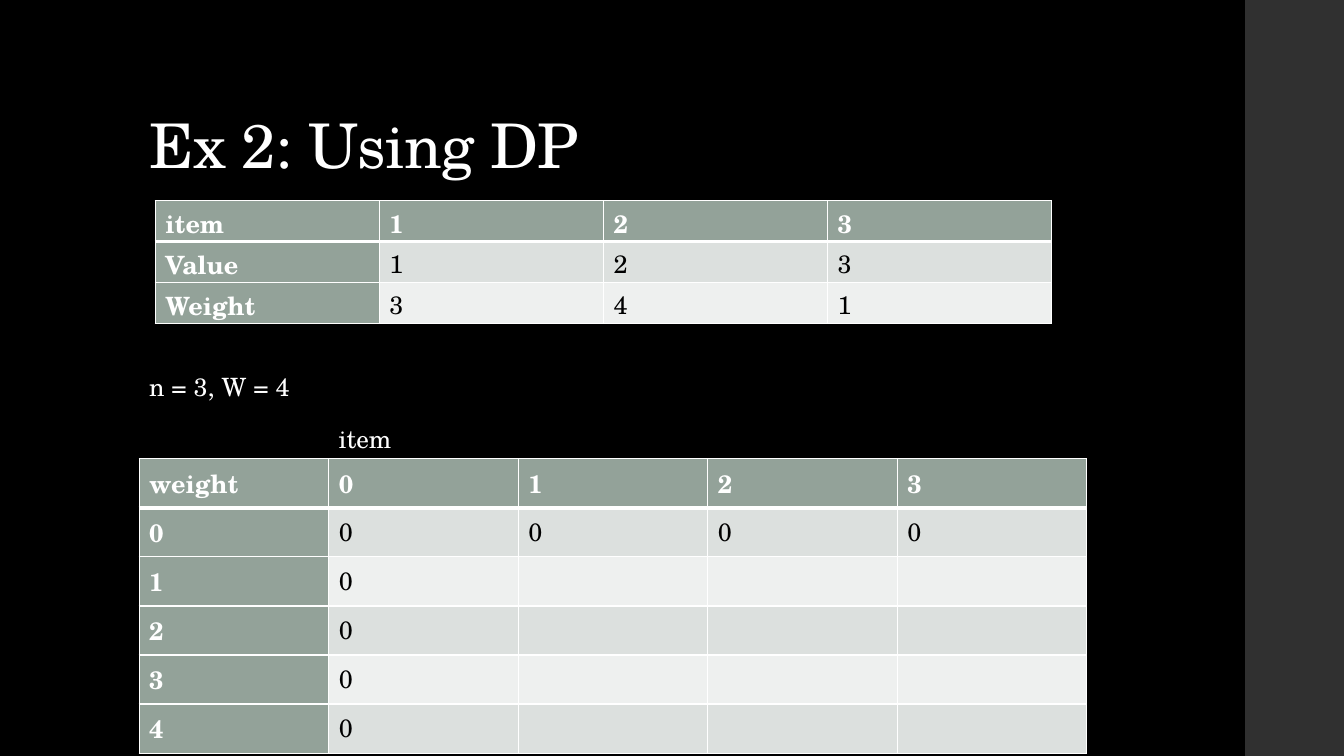
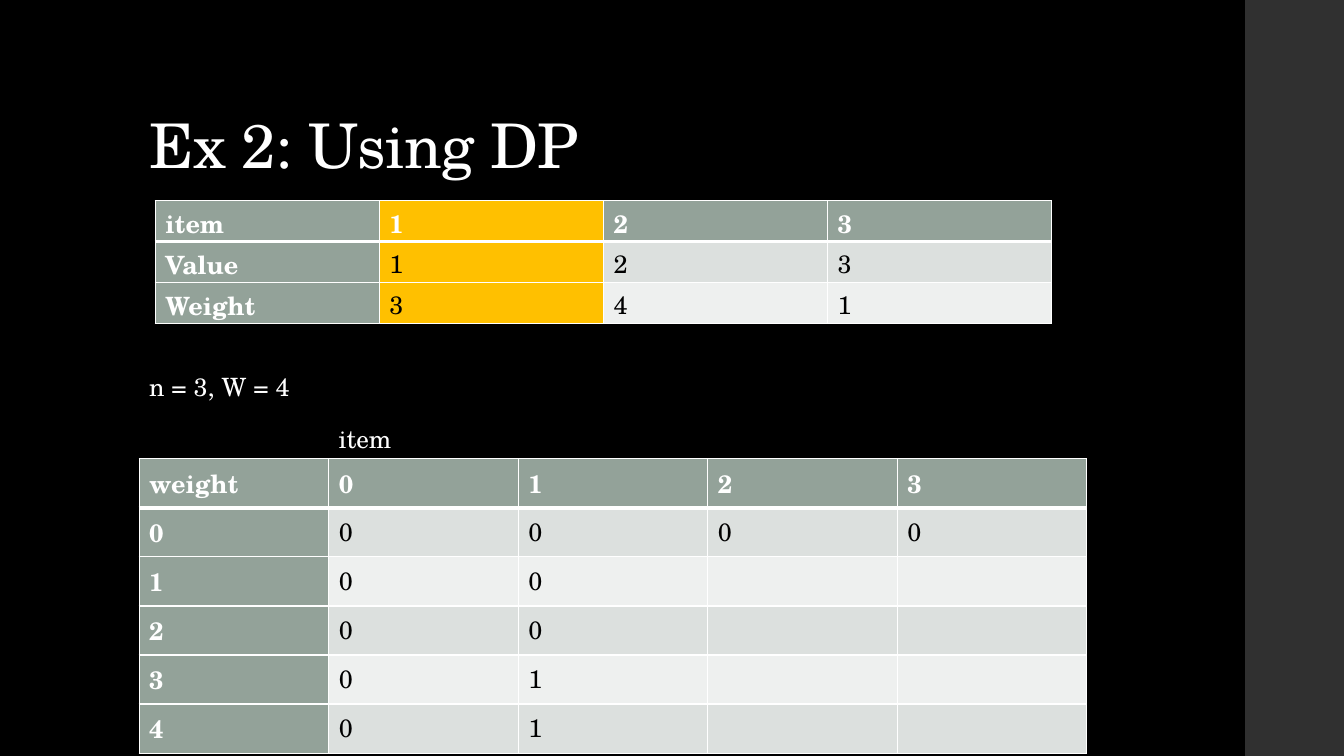
from lxml import etree
from pptx import Presentation
from pptx.dml.color import RGBColor
from pptx.enum.shapes import MSO_SHAPE
from pptx.enum.text import MSO_ANCHOR, MSO_AUTO_SIZE, PP_ALIGN
from pptx.oxml.ns import qn
from pptx.util import Inches, Pt

RECT = MSO_SHAPE.RECTANGLE
BOTTOM = MSO_ANCHOR.BOTTOM
LEFT = PP_ALIGN.LEFT
NO_FIT, GROW = MSO_AUTO_SIZE.NONE, MSO_AUTO_SIZE.SHAPE_TO_FIT_TEXT

BLACK = RGBColor(0x00, 0x00, 0x00)
WHITE = RGBColor(0xFF, 0xFF, 0xFF)
STRIP = RGBColor(0x30, 0x30, 0x30)
SAGE = RGBColor(0x93, 0xA2, 0x99)
BANDS = (RGBColor(0xDC, 0xE0, 0xDE), RGBColor(0xEE, 0xF0, 0xEF))
AMBER = RGBColor(0xFF, 0xC0, 0x00)
FONT = "TeX Gyre Schola"

TITLE = "Ex 2: Using DP"
LIMITS = "n = 3, W = 4"
ITEMS = [
    ["item", "1", "2", "3"],
    ["Value", "1", "2", "3"],
    ["Weight", "3", "4", "1"],
]
DP_HEADER = ["weight", "0", "1", "2", "3"]
SLIDES = [
    {
        "current_item": None,
        "dp": [["0", "0", "0", "0"]] + [["0", "", "", ""]] * 4,
    },
    {
        "current_item": 1,
        "dp": [["0", "0", "0", "0"]]
        + [["0", best, "", ""] for best in ("0", "0", "1", "1")],
    },
]


def write(tf, text, size=18, color=WHITE, bold=False, spacing=None, line=None):
    p = tf.paragraphs[0]
    p.alignment = LEFT
    if line:
        p.line_spacing = line
    if not text:
        return
    r = p.add_run()
    r.text = text
    r.font.name = FONT
    r.font.size = Pt(size)
    r.font.bold = bold
    r.font.color.rgb = color
    if spacing is not None:
        r.font.language_id = None
        r._r.get_or_add_rPr().set("spc", str(int(spacing * 100)))


def add_label(s, text, left, top, width, wrap=True):
    box = s.shapes.add_textbox(Inches(left), Inches(top), Inches(width), Inches(0.4))
    tf = box.text_frame
    tf.word_wrap = wrap
    tf.auto_size = GROW
    write(tf, text)


def set_borders(cell, bottom):
    tcPr = cell._tc.get_or_add_tcPr()
    widths = {"a:lnL": 1, "a:lnR": 1, "a:lnT": 1, "a:lnB": bottom}
    for i, (tag, width) in enumerate(widths.items()):
        ln = etree.Element(qn(tag), w=str(Pt(width)))
        fill = etree.SubElement(ln, qn("a:solidFill"))
        etree.SubElement(fill, qn("a:srgbClr"), val=str(WHITE))
        tcPr.insert(i, ln)


def add_grid(s, rows, left, top, width, height, margins=(0.05, 0.05), highlight=None):
    n_rows, n_cols = len(rows), len(rows[0])
    frame = s.shapes.add_table(
        n_rows, n_cols, Inches(left), Inches(top), Inches(width), Inches(height)
    )
    table = frame.table
    for i, row in enumerate(rows):
        for j, text in enumerate(row):
            cell = table.cell(i, j)
            cell.margin_top, cell.margin_bottom = map(Inches, margins)
            heading = i == 0 or j == 0
            if j == highlight:
                color = AMBER
            else:
                color = SAGE if heading else BANDS[(i - 1) % 2]
            cell.fill.solid()
            cell.fill.fore_color.rgb = color
            above_rule = i <= 1
            set_borders(cell, 3 if i == 0 else 1)
            if above_rule and i == 1:
                cell._tc.tcPr.find(qn("a:lnT")).set("w", str(Pt(3)))
            write(cell.text_frame, text, color=WHITE if heading else BLACK, bold=heading)


def add_title(s):
    title = s.shapes.title
    title.left, title.top = Inches(1.38), Inches(0.4)
    title.width, title.height = Inches(10.6), Inches(1.45)
    tf = title.text_frame
    tf.word_wrap = True
    tf.auto_size = NO_FIT
    tf.vertical_anchor = BOTTOM
    write(tf, TITLE, size=44, spacing=-0.5, line=0.9)


def add_strip(prs, s, layout):
    left = Inches(12.35)
    strip = s.shapes.add_shape(RECT, left, 0, prs.slide_width - left, prs.slide_height)
    strip.shadow.inherit = False
    strip.fill.solid()
    strip.fill.fore_color.rgb = STRIP
    strip.line.fill.background()
    layout.shapes.element.append(strip.element)


def main():
    prs = Presentation()
    prs.slide_width, prs.slide_height = Inches(13.33), Inches(7.5)
    background = prs.slide_master.background.fill
    background.solid()
    background.fore_color.rgb = BLACK
    layout = prs.slide_layouts.get_by_name("Title Only")
    for number, content in enumerate(SLIDES):
        s = prs.slides.add_slide(layout)
        if number == 0:
            add_strip(prs, s, layout)
        add_title(s)
        dp = [DP_HEADER] + [[str(w)] + row for w, row in enumerate(content["dp"])]
        add_grid(s, dp, 1.38, 4.55, 9.4, 2.92)
        add_label(s, "item", 3.26, 4.15, 1.04)
        add_grid(s, ITEMS, 1.54, 1.99, 8.89, 1.22, margins=(0.03, 0),
                 highlight=content["current_item"])
        add_label(s, LIMITS, 1.38, 3.63, 1.61, wrap=False)
    prs.save("out.pptx")


if __name__ == "__main__":
    main()
